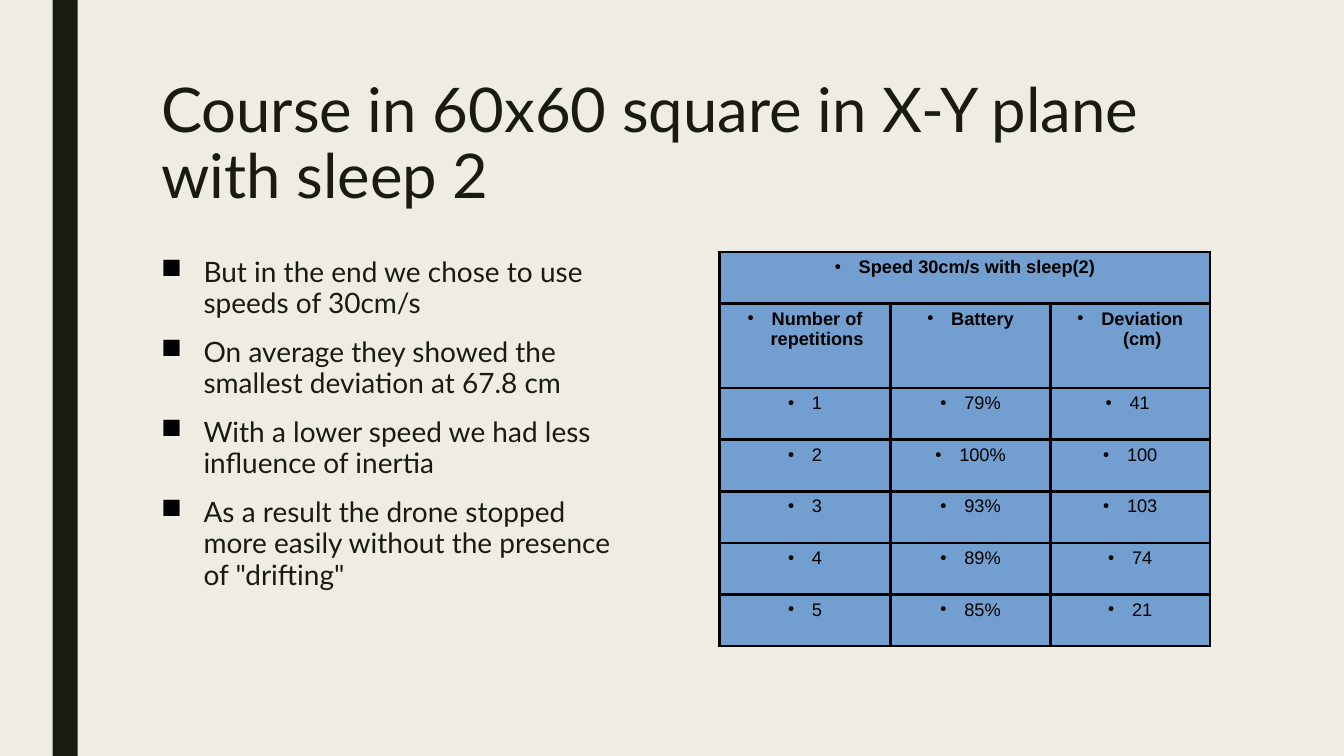
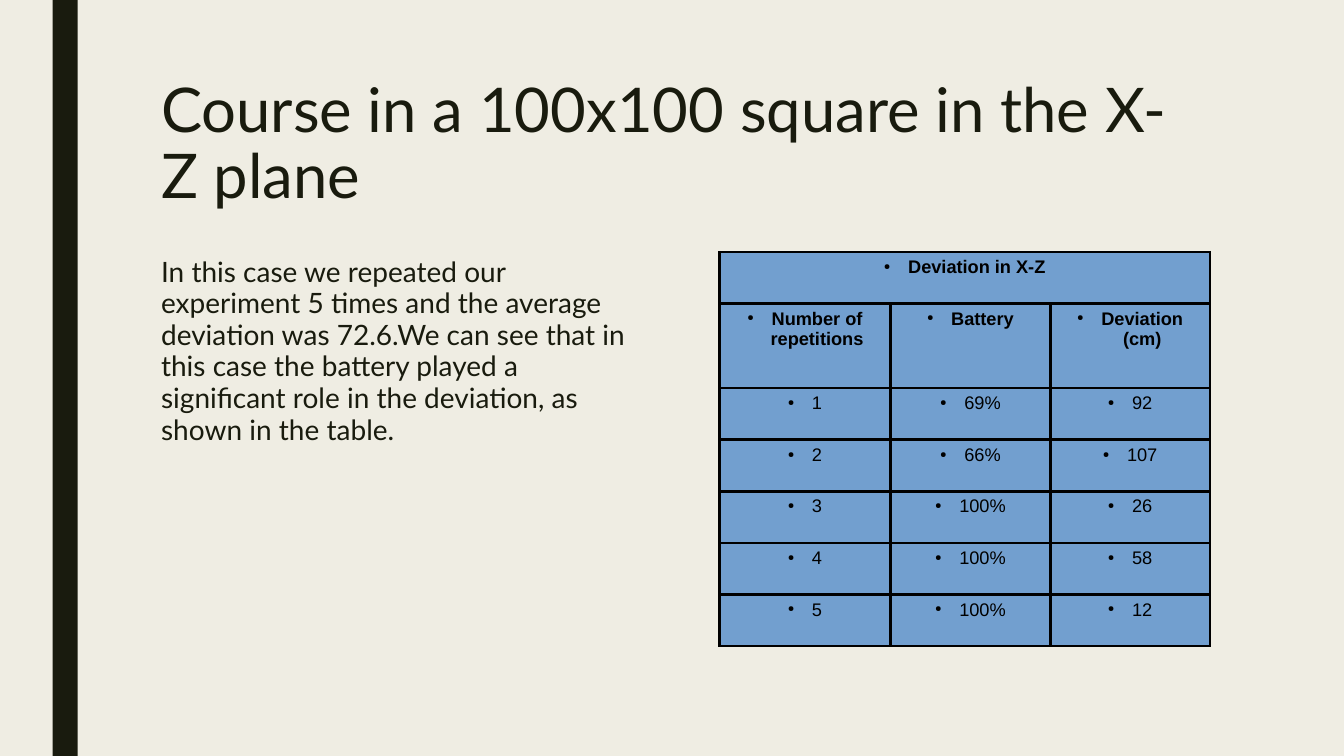
from lxml import etree
from pptx import Presentation
from pptx import util as u
from pptx.dml.color import RGBColor
from pptx.enum import shapes, text
from pptx.oxml import ns

INK = RGBColor(0x19, 0x1B, 0x0E)
PAPER = RGBColor(0xEF, 0xED, 0xE3)
BLUE = RGBColor(0x72, 0x9F, 0xCF)
BLACK = RGBColor(0, 0, 0)

TITLE = dict(name="Lato", size=u.Pt(44), color=INK)
BODY = dict(name="Lato", size=u.Pt(20), color=INK)
HEAD = dict(name="Arial", size=u.Pt(13), color=BLACK, bold=True)
CELL = dict(HEAD, bold=False)

LEFT, TOP = 3.81, 6.35
COLS = (4.31, 4.03, 4.02)
ROW, TALL = 1.3, 2.13
LABELS = ("Number of repetitions", "Battery", "Deviation (cm)")


def node(parent, tag, **attrs):
    item = etree.SubElement(parent, ns.qn(tag))
    for key, val in attrs.items():
        item.set(key, str(val))
    return item


class Deck:
    def __init__(self):
        self.prs = Presentation()
        self.prs.slide_width = u.Cm(33.87)
        self.prs.slide_height = u.Cm(19.05)
        back = self.prs.slide_master.background.fill
        back.solid()
        back.fore_color.rgb = PAPER

    def page(self, title):
        self.slide = self.prs.slides.add_slide(self.prs.slide_layouts[6])
        self.band()
        self.block([title], 1.9, 26.67, 4.14, TITLE, 0.89)

    def band(self):
        bar = self.slide.shapes.add_shape(
            shapes.MSO_SHAPE.RECTANGLE, u.Cm(1.33), 0, u.Cm(0.63), self.prs.slide_height)
        bar.shadow.inherit = False
        bar.fill.solid()
        bar.fill.fore_color.rgb = INK
        bar.line.fill.background()

    def font(self, run, style):
        for key, val in style.items():
            if key == "color":
                run.font.color.rgb = val
            else:
                setattr(run.font, key, val)

    def bullet(self, para, char, indent, size=100):
        props = para._p.get_or_add_pPr()
        props.set("marL", str(u.Cm(indent)))
        props.set("indent", str(-u.Cm(indent)))
        node(node(props, "a:buClr"), "a:srgbClr", val=BLACK)
        node(props, "a:buSzPct", val=size * 1000)
        node(props, "a:buChar", char=char)

    def block(self, lines, top, width, height, style, pitch, char=None):
        box = self.slide.shapes.add_textbox(
            u.Cm(LEFT), u.Cm(top), u.Cm(width), u.Cm(height))
        frame = box.text_frame
        frame.word_wrap = True
        for i, line in enumerate(lines):
            para = frame.add_paragraph() if i else frame.paragraphs[0]
            if char:
                self.bullet(para, char, 1.07)
            para.line_spacing = pitch
            para.space_before = u.Pt(10 if i else 0)
            para.space_after = u.Pt(2)
            run = para.add_run()
            run.text = line
            self.font(run, style)

    def body(self, lines, char=None):
        self.block(lines, TOP, 12.34, 9.96, BODY, 0.94, char)

    def cell(self, cell, words, style):
        # Borders come before the fill in the cell properties
        props = cell._tc.get_or_add_tcPr()
        for side in "LRTB":
            line = node(props, f"a:ln{side}", w=u.Pt(1.98))
            node(node(line, "a:solidFill"), "a:srgbClr", val=BLACK)
        cell.fill.solid()
        cell.fill.fore_color.rgb = BLUE
        cell.margin_left = cell.margin_right = u.Cm(0.15)
        cell.margin_top = cell.margin_bottom = u.Cm(0.13)
        if words:
            para = cell.text_frame.paragraphs[0]
            self.bullet(para, "●", 0.61, 45)
            para.alignment = text.PP_ALIGN.CENTER
            run = para.add_run()
            run.text = words
            self.font(run, style)

    def table(self, title, data):
        rows = [(title, "", ""), LABELS]
        rows += [(str(n), *pair) for n, pair in enumerate(data, 1)]
        highs = [TALL if row is LABELS else ROW for row in rows]
        grid = self.slide.shapes.add_table(
            len(rows), len(COLS), u.Cm(18.13), u.Cm(TOP),
            u.Cm(sum(COLS)), u.Cm(sum(highs))).table
        grid.first_row = grid.horz_banding = False
        for col, width in zip(grid.columns, COLS):
            col.width = u.Cm(width)
        for r, row in enumerate(rows):
            grid.rows[r].height = u.Cm(highs[r])
            for c, words in enumerate(row):
                self.cell(grid.cell(r, c), words, HEAD if r < 2 else CELL)
        grid.cell(0, 0).merge(grid.cell(0, len(COLS) - 1))


def main():
    deck = Deck()

    # X-Y plane
    deck.page("Course in 60x60 square in X-Y plane with sleep 2")
    deck.body([
        "But in the end we chose to use speeds of 30cm/s",
        "On average they showed the smallest deviation at 67.8 cm",
        "With a lower speed we had less influence of inertia",
        "As a result the drone stopped more easily without the presence of \"drifting\"",
    ], "■")
    deck.table("Speed 30cm/s with sleep(2)", [
        ("79%", "41 "), ("100%", "100"), ("93%", "103"), ("89%", "74"), ("85%", "21")])

    # X-Z plane
    deck.page("Course in a 100x100 square in the X-Z plane")
    deck.body([
        "In this case we repeated our experiment 5 times and the average deviation "
        "was 72.6.We can see that in this case the battery played a significant role "
        "in the deviation, as shown in the table."])
    deck.table("Deviation in X-Z", [
        ("69%", "92"), ("66%", "107"), ("100%", "26"), ("100%", "58"), ("100%", "12")])

    deck.prs.save("out.pptx")


if __name__ == "__main__":
    main()
